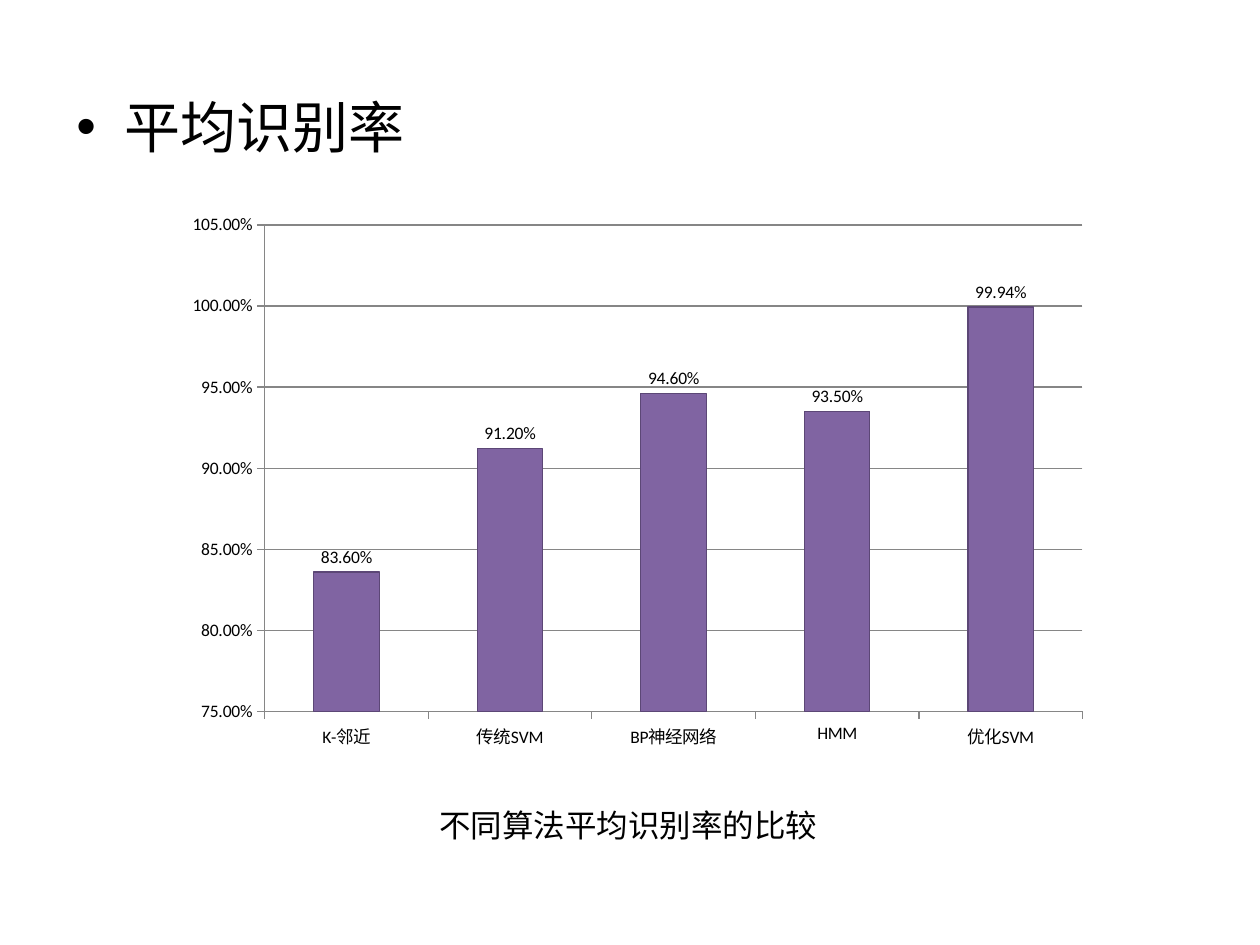
from lxml.etree import SubElement
from pptx import Presentation
from pptx.chart.data import CategoryChartData
from pptx.dml.color import RGBColor
from pptx.enum.chart import XL_CHART_TYPE, XL_LABEL_POSITION, XL_TICK_MARK
from pptx.enum.text import MSO_AUTO_SIZE
from pptx.oxml.ns import qn
from pptx.util import Pt

BLACK = RGBColor(0x00, 0x00, 0x00)
GRAY = RGBColor(0x86, 0x86, 0x86)
PURPLE = RGBColor(0x80, 0x64, 0xA2)
DARK_PURPLE = RGBColor(0x5C, 0x47, 0x76)
TEXT_FONT = "Noto Sans CJK SC"
PERCENT = "0.00%"
EMU_PER_PX = 914400 / 126


def px(*lengths):
    return [round(length * EMU_PER_PX) for length in lengths]


def add_text(slide, text, box, size, wrap):
    shape = slide.shapes.add_textbox(*px(*box))
    shape.text_frame.word_wrap = wrap
    paragraph = shape.text_frame.paragraphs[0]
    run = paragraph.add_run()
    run.text = text
    for name, value in {"name": TEXT_FONT, "size": Pt(size)}.items():
        setattr(run.font, name, value)
    run.font.color.rgb = BLACK
    SubElement(run.font._element, qn("a:ea"), typeface=TEXT_FONT)
    return shape, paragraph


presentation = Presentation()
presentation.slide_width, presentation.slide_height = px(1260, 945)
slide = presentation.slides.add_slide(presentation.slide_layouts[6])

# Bulleted heading
shape, paragraph = add_text(slide, "平均识别率", (64, 86, 1134, 824), 32, True)
paragraph.space_before = Pt(6)
properties = paragraph._p.get_or_add_pPr()
indent = px(48)[0]
properties.set("marL", str(indent))
properties.set("indent", str(-indent))
SubElement(properties, qn("a:buFont"), typeface="Arial")
SubElement(properties, qn("a:buChar"), char="•")

# Recognition rate chart
chart_data = CategoryChartData(number_format=PERCENT)
chart_data.categories = ["K-邻近", "传统SVM", "BP神经网络", "HMM", "优化SVM"]
chart_data.add_series("Series 1", (0.836, 0.912, 0.946, 0.935, 0.9994))
chart = slide.shapes.add_chart(
    XL_CHART_TYPE.COLUMN_CLUSTERED, *px(174, 204, 927, 556), chart_data
).chart
chart.has_legend = False
chart.has_title = False
for name, value in {"name": "Calibri", "size": Pt(10)}.items():
    setattr(chart.font, name, value)
chart.font.color.rgb = BLACK

# Axes and gridlines
value_axis = chart.value_axis
axis_format = {
    "minimum_scale": 0.75,
    "maximum_scale": 1.05,
    "major_unit": 0.05,
    "has_major_gridlines": True,
}
for name, value in axis_format.items():
    setattr(value_axis, name, value)
value_axis.tick_labels.number_format = PERCENT
value_axis.tick_labels.number_format_is_linked = False
for axis in (chart.category_axis, value_axis):
    axis.major_tick_mark = XL_TICK_MARK.OUTSIDE
    axis.minor_tick_mark = XL_TICK_MARK.NONE
for part in (chart.category_axis, value_axis, value_axis.major_gridlines):
    part.format.line.color.rgb = GRAY
    part.format.line.width = Pt(0.75)

# Columns and their labels
plot = chart.plots[0]
plot.gap_width = 150
plot.vary_by_categories = False
series_format = plot.series[0].format
series_format.fill.solid()
series_format.fill.fore_color.rgb = PURPLE
series_format.line.color.rgb = DARK_PURPLE
series_format.line.width = Pt(0.75)
label_format = {
    "show_value": True,
    "number_format": PERCENT,
    "number_format_is_linked": False,
    "position": XL_LABEL_POSITION.OUTSIDE_END,
}
plot.has_data_labels = True
for name, value in label_format.items():
    setattr(plot.data_labels, name, value)

# Caption
shape, paragraph = add_text(slide, "不同算法平均识别率的比较", (427, 800, 407, 50), 18, False)
shape.text_frame.auto_size = MSO_AUTO_SIZE.SHAPE_TO_FIT_TEXT

presentation.save("out.pptx")
